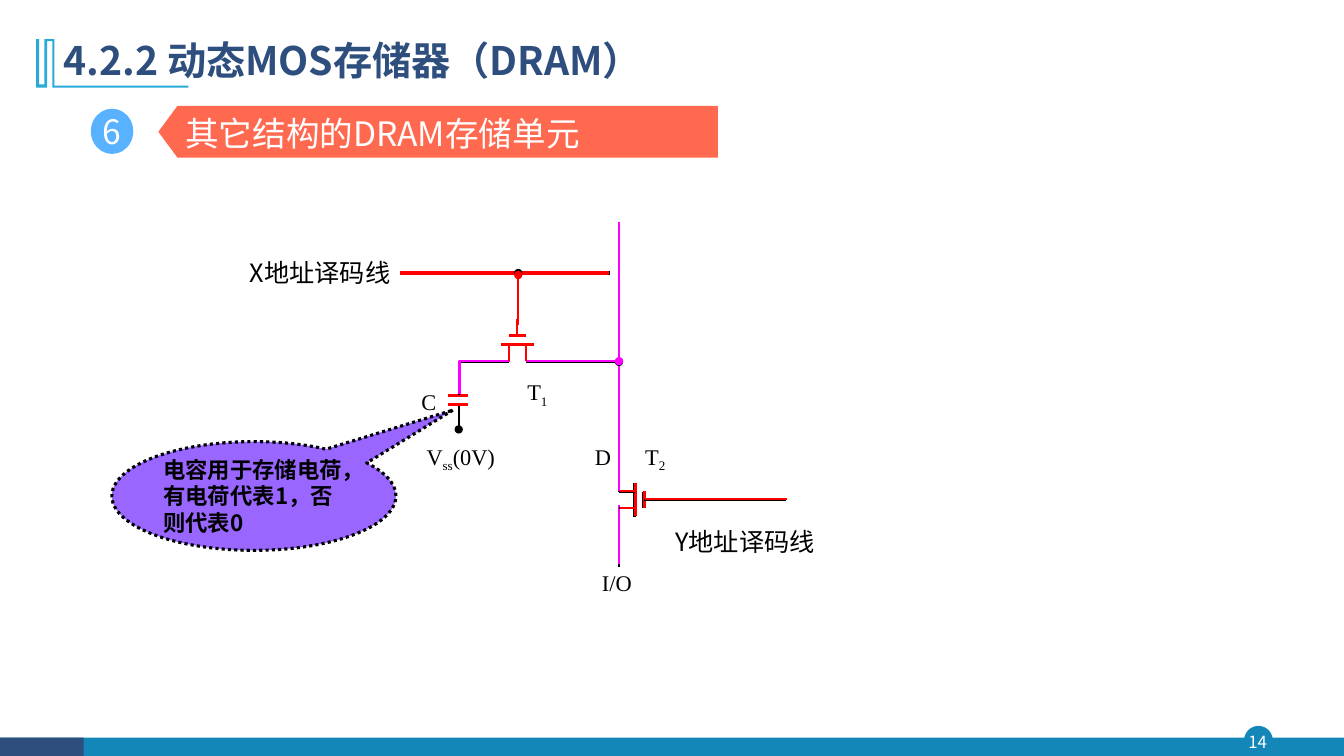
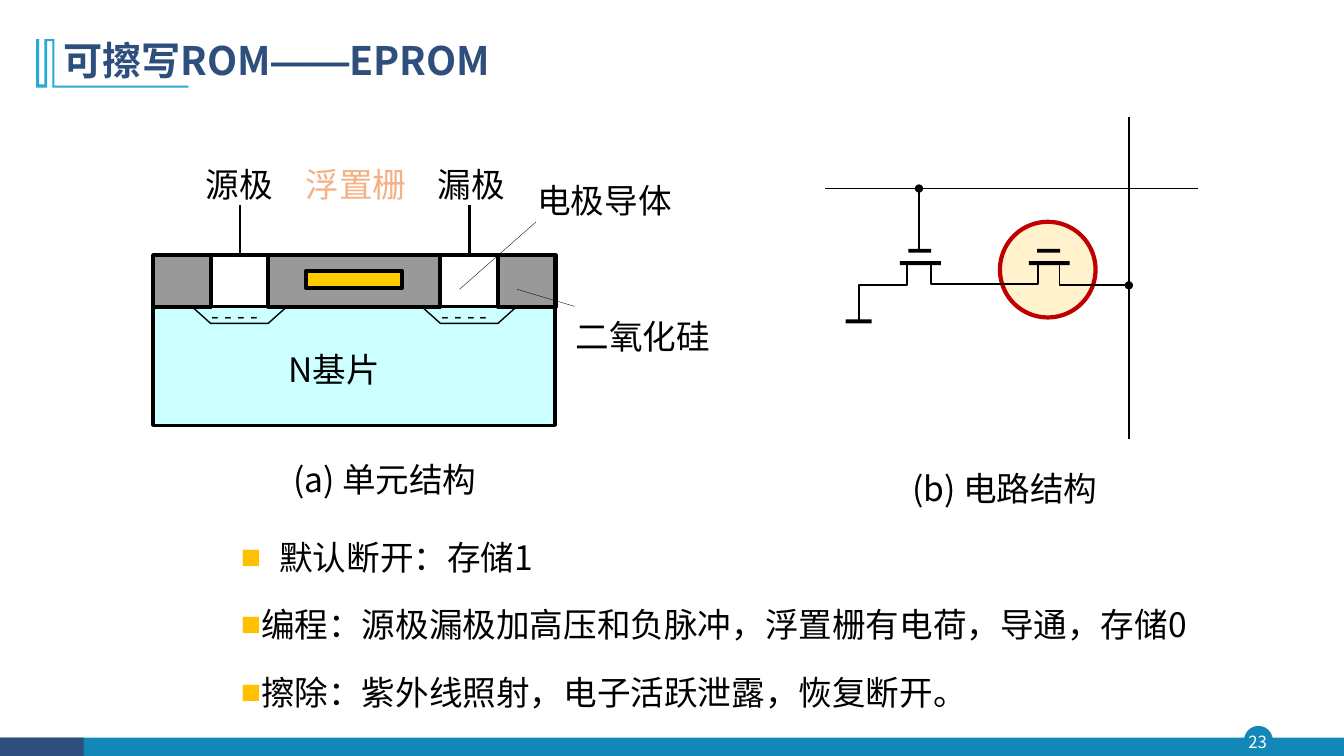
from dataclasses import dataclass
from lxml import etree
from pptx import Presentation
from pptx.dml.color import RGBColor
from pptx.enum.dml import MSO_LINE
from pptx.enum.shapes import MSO_CONNECTOR, MSO_SHAPE
from pptx.enum.text import MSO_ANCHOR, PP_ALIGN
from pptx.oxml.ns import qn
from pptx.util import Cm, Pt

RECT, OVAL = MSO_SHAPE.RECTANGLE, MSO_SHAPE.OVAL
PLATE, BUBBLE = MSO_SHAPE.PENTAGON, MSO_SHAPE.OVAL_CALLOUT
LEFT, CENTER = PP_ALIGN.LEFT, PP_ALIGN.CENTER
RIGHT, JUSTIFY = PP_ALIGN.RIGHT, PP_ALIGN.JUSTIFY
TOP, MIDDLE = MSO_ANCHOR.TOP, MSO_ANCHOR.MIDDLE
STRAIGHT = MSO_CONNECTOR.STRAIGHT
DOTTED = MSO_LINE.ROUND_DOT


@dataclass(frozen=True)
class Theme:
    navy: str = "2E4E7E"
    teal: str = "1387B7"
    cyan: str = "28A9D6"
    sky: str = "59B2FF"
    coral: str = "FF6950"
    violet: str = "9966FF"
    red: str = "FF0000"
    pink: str = "FF00FF"
    black: str = "000000"
    white: str = "FFFFFF"
    gray: str = "999999"
    ice: str = "CCFFFF"
    gold: str = "FFCC00"
    amber: str = "FFC000"
    cream: str = "FFF2CC"
    brick: str = "C00000"
    peach: str = "F4B183"
    sans: str = "Noto Sans CJK SC"
    serif: str = "Times New Roman"
    mono: str = "Arial"
    title: int = 28
    body: int = 24
    label: int = 18
    small: int = 16
    page: int = 12


T = Theme()


@dataclass(frozen=True)
class Box:
    x: float
    y: float
    w: float
    h: float


@dataclass(frozen=True)
class Run:
    text: str
    face: str = ""
    base: int = 0


@dataclass(frozen=True)
class Style:
    size: int
    ink: str = T.black
    face: str = T.sans
    bold: bool = False
    align: PP_ALIGN = JUSTIFY
    lead: float = 1.0


@dataclass(frozen=True)
class Label:
    box: Box
    runs: tuple
    style: Style


@dataclass(frozen=True)
class Wire:
    points: tuple
    ink: str = T.black
    width: float = 1.25
    dot: bool = False
    dx: float = 0
    dy: float = 0


TITLE = Style(T.title, T.navy, bold=True, align=LEFT, lead=0.9)
PAGE = Style(T.page, T.white, align=CENTER)
HEAD = Style(T.body, T.white, align=LEFT)
NOTE = Style(T.small, bold=True, align=LEFT)
PIN = Style(T.small, face=T.serif)
NAME = Style(T.label)
PART = Style(T.body, lead=1.2)
GLOW = Style(T.body, T.peach, lead=1.2)
DASH = Style(T.small, lead=1.2)
CAPTION = Style(T.body, align=RIGHT, lead=1.2)
POINT = Style(T.body, align=LEFT, lead=1.5)


def color(code: str) -> RGBColor:
    return RGBColor.from_string(code)


def place(box: Box) -> tuple:
    return Cm(box.x), Cm(box.y), Cm(box.w), Cm(box.h)


def write(par, runs: tuple, style: Style) -> None:
    par.alignment = style.align
    par.line_spacing = style.lead
    font = par.font
    font.size, font.bold = Pt(style.size), style.bold
    font.color.rgb = color(style.ink)
    font.name = style.face
    etree.SubElement(font._rPr, qn("a:ea"), typeface=style.face)
    for item in runs:
        run = par.add_run()
        run.text = item.text
        if item.face:
            run.font.name = item.face
        if item.base:
            run.font._rPr.set("baseline", str(item.base * 1000))


def frame(shape, pad: float, anchor: MSO_ANCHOR, wrap: bool = True):
    area = shape.text_frame
    area.word_wrap, area.vertical_anchor = wrap, anchor
    area.margin_left = area.margin_right = Cm(pad)
    area.margin_top = area.margin_bottom = Cm(pad / 2 if pad > 0.1 else pad)
    return area


def text(slide, label: Label, pad: float = 0.03, anchor: MSO_ANCHOR = TOP) -> None:
    shape = slide.shapes.add_textbox(*place(label.box))
    write(frame(shape, pad, anchor).paragraphs[0], label.runs, label.style)


def paint(shape, fill: str = "", line: str = "", width: float = 1) -> None:
    shape.shadow.inherit = False
    if fill:
        shape.fill.solid()
        shape.fill.fore_color.rgb = color(fill)
    else:
        shape.fill.background()
    if line:
        shape.line.color.rgb = color(line)
        shape.line.width = Pt(width)
    else:
        shape.line.fill.background()


def block(slide, box: Box, fill: str, line: str = "", width: float = 1, kind: MSO_SHAPE = RECT):
    shape = slide.shapes.add_shape(kind, *place(box))
    paint(shape, fill, line, width)
    return shape


def trail(slide, points: list, close: bool):
    spots = [(Cm(x), Cm(y)) for x, y in points]
    maker = slide.shapes.build_freeform(*spots[0])
    maker.add_line_segments(spots[1:], close=close)
    return maker.convert_to_shape()


def draw(slide, wire: Wire) -> None:
    points = [(x + wire.dx, y + wire.dy) for x, y in wire.points]
    if len(points) == 2:
        shape = slide.shapes.add_connector(STRAIGHT, *(Cm(v) for spot in points for v in spot))
        shape.line.color.rgb = color(wire.ink)
        shape.line.width = Pt(wire.width)
        etree.SubElement(shape._element.spPr, qn("a:effectLst"))
    else:
        shape = trail(slide, points, False)
        paint(shape, line=wire.ink, width=wire.width)
    if wire.dot:
        etree.SubElement(shape.line._get_or_add_ln(), qn("a:tailEnd"), type="oval")


def trace(slide, wire: Wire) -> None:
    draw(slide, Wire(wire.points, T.black, wire.width, wire.dot))
    draw(slide, wire)


def gate(slide, x: float, y: float, turned: bool, shift: float) -> None:
    parts = [(-0.42, 0.4, 0.42, 0.4, 2.25), (-0.21, 0.63, 0.21, 0.63, 2.25),
             (-0.21, 0, -0.21, 0.4, 1.5), (0.21, 0, 0.21, 0.4, 1.5),
             (0, 0.63, 0, 1.04, 1.5)]
    for a, b, c, d, width in parts:
        ends = ((a, b), (c, d))
        points = tuple((x + v, y + u) if turned else (x + u, y - v) for u, v in ends)
        trace(slide, Wire(points, T.red, width, dx=shift, dy=-shift))


def base(deck, page: str, runs: tuple):
    slide = deck.slides.add_slide(deck.slide_layouts[6])
    block(slide, Box(31.37, 18.31, 0.69, 0.69), T.teal, T.teal, kind=OVAL)
    block(slide, Box(0, 18.59, 33.87, 0.48), T.teal)
    block(slide, Box(0, 18.59, 2.11, 0.48), T.navy)
    text(slide, Label(Box(31.29, 18.31, 0.81, 0.79), (Run(page),), PAGE), 0, MIDDLE)
    mark = [(1.37, 0.99), (1.37, 2.16), (4.75, 2.16), (4.75, 2.21), (1.32, 2.21),
            (1.32, 1.04), (1.19, 1.04), (1.19, 2.21), (0.91, 2.21), (0.91, 0.99),
            (0.99, 0.99), (0.99, 2.13), (1.12, 2.13), (1.12, 0.99)]
    paint(trail(slide, mark, True), T.cyan)
    text(slide, Label(Box(1.35, 0.71, 29.2, 1.73), runs, TITLE), 0.25, MIDDLE)
    return slide


def dram(deck) -> None:
    slide = base(deck, "14", (Run("4.2.2 动态MOS存储器（DRAM）"),))
    badge = block(slide, Box(2.29, 2.74, 1.07, 1.14), T.sky, kind=OVAL)
    write(frame(badge, 0, MIDDLE, False).paragraphs[0], (Run("6"),),
          Style(T.body, T.white, align=CENTER))
    ribbon = block(slide, Box(3.99, 2.67, 14.1, 1.3), T.coral, kind=PLATE)
    ribbon.adjustments[0] = 0.37
    ribbon.rotation = 180
    text(slide, Label(Box(4.42, 2.72, 13.67, 1.27), (Run("其它结构的DRAM存储单元"),), HEAD), 0.25)

    draw(slide, Wire(((11.56, 10.19), (11.56, 10.82)), width=1.5, dot=True))
    for y in (9.96, 10.19):
        draw(slide, Wire(((11.3, y), (11.79, y)), T.red, 2.25))
    bubble = block(slide, Box(2.82, 11.13, 7.16, 2.74), T.violet, T.black, 2.25, BUBBLE)
    bubble.line.dash_style = DOTTED
    bubble.adjustments[0], bubble.adjustments[1] = 0.7, -0.79
    write(frame(bubble, 0.25, MIDDLE).paragraphs[0],
          (Run("电容用于存储电荷，有电荷代表1，否则代表0"),), NOTE)

    for wire in (
        Wire(((10.11, 6.88), (15.37, 6.88)), T.red, 2.25, dx=-0.02),
        Wire(((16.64, 12.6), (19.81, 12.6)), T.red, 1.5, dx=0.02, dy=-0.02),
        Wire(((15.6, 12.8), (15.6, 14.3)), T.pink, 1.5, dy=-0.08),
        Wire(((13.06, 8.15), (13.06, 6.88)), T.red, 1.5, True, dy=0.05),
        Wire(((12.83, 9.12), (11.56, 9.12), (11.56, 9.96)), T.pink, 1.5, dx=0.02, dy=-0.02),
        Wire(((15.6, 12.4), (15.6, 5.61)), T.pink, 1.5, dy=-0.02),
        Wire(((13.26, 9.12), (15.6, 9.12)), T.pink, 1.5, True, dy=-0.02),
    ):
        trace(slide, wire)
    gate(slide, 13.04, 9.09, False, 0)
    gate(slide, 15.6, 12.6, True, 0.02)

    for label in (
        Label(Box(10.72, 11.13, 2.24, 1.42), (Run("V"), Run("ss", base=-25), Run("(0V)")), PIN),
        Label(Box(13.26, 9.5, 0.71, 0.94), (Run("T"), Run("1", base=-25)), PIN),
        Label(Box(16.23, 11.13, 0.64, 0.84), (Run("T"), Run("2", base=-25)), PIN),
        Label(Box(14.96, 11.13, 0.64, 0.84), (Run("D"),), PIN),
        Label(Box(10.59, 9.75, 0.84, 0.84), (Run("C"),), PIN),
        Label(Box(15.14, 14.3, 0.97, 0.64), (Run("I/O"),), PIN),
        Label(Box(6.27, 6.45, 3.68, 0.43), (Run("X地址译码线"),), NAME),
        Label(Box(16.99, 13.23, 4.24, 0.64), (Run("Y地址译码线"),), NAME),
    ):
        text(slide, label)


def cell(slide) -> None:
    block(slide, Box(3.86, 7.72, 10.13, 3), T.ice, T.black, 2.5)
    for x, w in ((3.86, 1.45), (6.76, 4.34), (12.55, 1.45)):
        block(slide, Box(x, 6.43, w, 1.3), T.gray, T.black, 3)
    for dx in (0, 5.79):
        for wire in (
            Wire(((5.31, 6.43), (6.91, 6.43)), width=3, dx=dx),
            Wire(((6.05, 5.16), (6.05, 6.45)), width=2, dx=dx),
            Wire(((4.83, 7.72), (5.31, 8.15), (6.76, 8.15), (7.24, 7.72)), width=1, dx=dx),
        ):
            draw(slide, wire)
        text(slide, Label(Box(5.31 + dx, 7.45, 1.93, 0.86), (Run("- - - -"),), DASH))
    block(slide, Box(7.72, 6.83, 2.41, 0.43), T.gold, T.black, 3)
    for points in (((11.58, 7.29), (13.51, 5.59)), ((13.03, 7.29), (14.48, 7.72))):
        draw(slide, Wire(points, width=0.25))
    for x, y, w, words, style in (
        (7.24, 8.56, 3.38, "N基片", PART),
        (5.16, 3.89, 2.41, "源极", PART),
        (7.67, 3.89, 3.86, "浮置栅", GLOW),
        (11, 3.89, 2.41, "漏极", PART),
        (13.51, 4.29, 3.86, "电极导体", PART),
        (14.48, 7.72, 3.86, "二氧化硅", PART),
        (4.8, 11.33, 7.24, "(a) 单元结构", CAPTION),
        (20.45, 11.56, 7.24, "(b) 电路结构", CAPTION),
    ):
        text(slide, Label(Box(x, y, w, 1.27), (Run(words),), style))


def loop(slide) -> None:
    for wire in (
        Wire(((20.8, 4.75), (30.18, 4.75))),
        Wire(((28.45, 11.05), (28.45, 2.95))),
        Wire(((26.7, 6.63), (26.7, 7.19), (28.45, 7.19)), dot=True),
        Wire(((23.47, 6.68), (23.47, 7.16), (26.16, 7.16), (26.16, 6.63))),
        Wire(((22.86, 6.63), (22.86, 7.19), (21.64, 7.19), (21.64, 8.1))),
    ):
        draw(slide, wire)
    block(slide, Box(21.31, 8.05, 0.66, 0.1), T.black)
    block(slide, Box(22.76, 6.32, 0.86, 0.3), T.white)
    for dx in (0, 3.25):
        block(slide, Box(22.68 + dx, 6.58, 1.03, 0.1), T.black)
        block(slide, Box(22.89 + dx, 6.27, 0.58, 0.1), T.black)
    draw(slide, Wire(((23.16, 6.32), (23.16, 4.75)), dot=True))


def points(slide) -> None:
    area = frame(slide.shapes.add_textbox(*place(Box(5.82, 12.9, 25.53, 4.78))), 0.25, TOP)
    lines = ("默认断开：存储1",
             "编程：源极漏极加高压和负脉冲，浮置栅有电荷，导通，存储0",
             "擦除：紫外线照射，电子活跃泄露，恢复断开。")
    for i, words in enumerate(lines):
        par = area.add_paragraph() if i else area.paragraphs[0]
        prop = par._p.get_or_add_pPr()
        hang = 0 if i else Cm(0.97)
        prop.set("marL", str(hang))
        prop.set("indent", str(-hang))
        tint = etree.SubElement(prop, qn("a:buClr"))
        etree.SubElement(tint, qn("a:srgbClr"), val=T.amber)
        etree.SubElement(prop, qn("a:buFont"), typeface=T.mono)
        etree.SubElement(prop, qn("a:buChar"), char="■")
        if i:
            par.space_before = Pt(4.8)
        write(par, (Run(words),), POINT)


def eprom(deck) -> None:
    slide = base(deck, "23", (Run("可擦写ROM"), Run("——", T.mono), Run("EPROM")))
    block(slide, Box(25.2, 5.59, 2.41, 2.41), T.cream, T.brick, 3, OVAL)
    cell(slide)
    loop(slide)
    points(slide)


def main() -> None:
    deck = Presentation()
    deck.slide_width, deck.slide_height = Cm(33.87), Cm(19.05)
    dram(deck)
    eprom(deck)
    deck.save("out.pptx")


if __name__ == "__main__":
    main()
